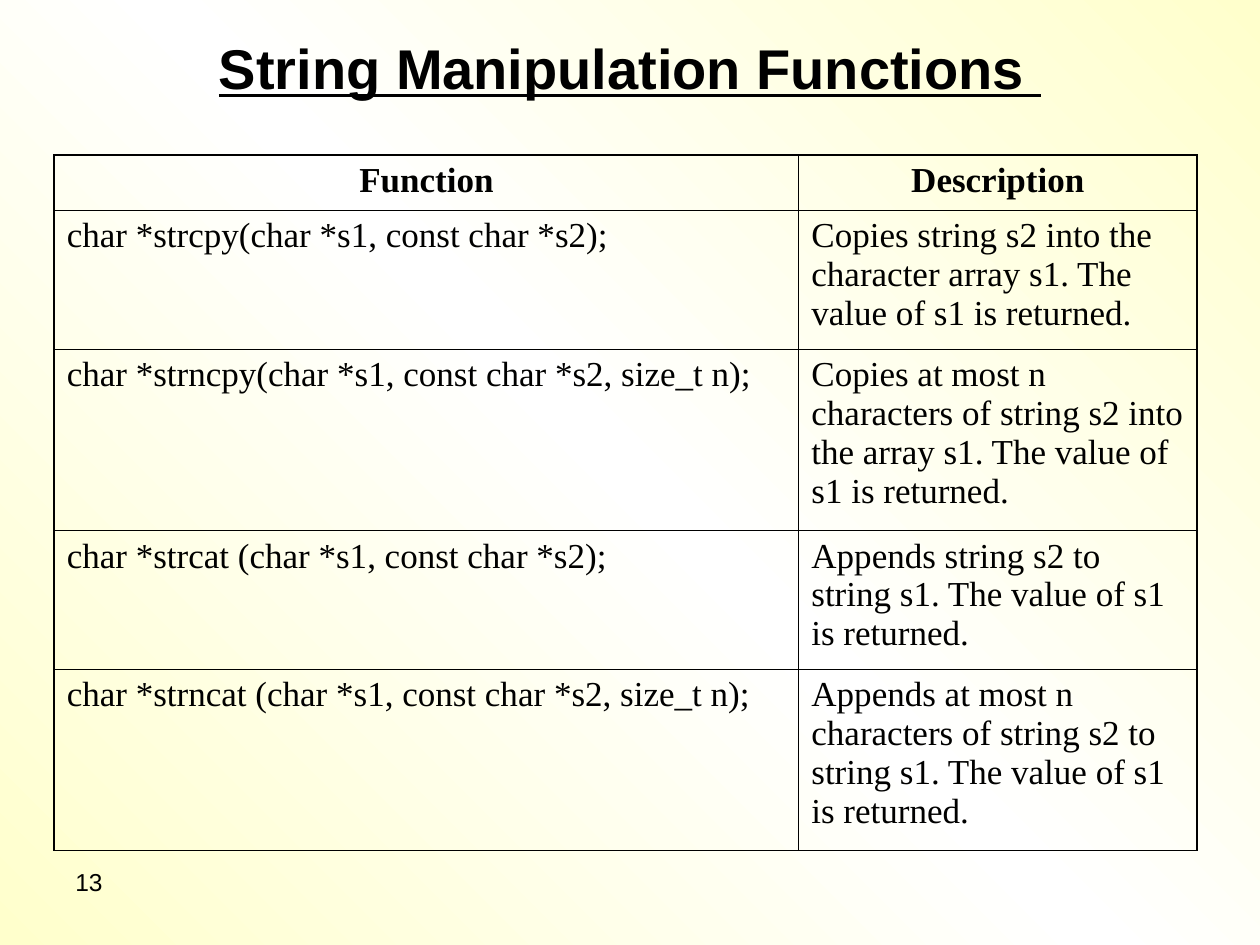
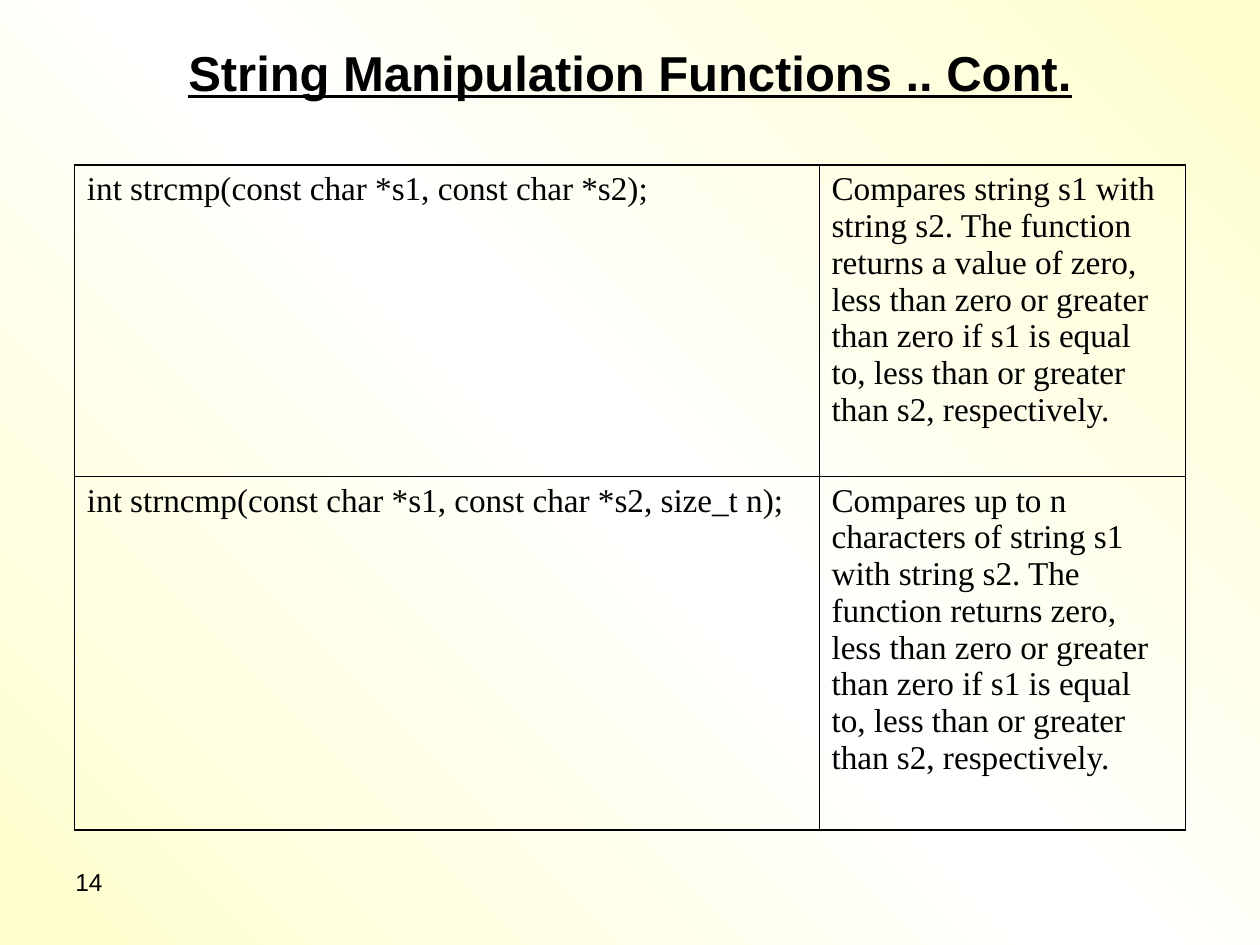
from copy import deepcopy
from dataclasses import dataclass

from lxml.etree import SubElement as sub
from pptx import Presentation
from pptx.dml.color import RGBColor as Rgb
from pptx.enum.text import MSO_ANCHOR as Anchor, MSO_AUTO_SIZE as Auto, PP_ALIGN as Align
from pptx.oxml.ns import qn
from pptx.util import Inches, Pt


@dataclass(frozen=True)
class Theme:
    ink: str = "000000"
    cream: str = "FFFFCC"
    white: str = "FFFFFF"
    sans: str = "Arial"
    serif: str = "Times New Roman"
    note: int = 14
    thick: float = 1.08
    thin: float = 0.45


look = Theme()
COLS, ROWS = 100, 75
FIRST = 13

PAGES = [
    {
        "title": "String Manipulation Functions ", "size": 32, "tall": 4.6,
        "left": 4.3, "top": 12.3, "cols": [59.1, 31.6],
        "rows": [4.4, 11, 14.4, 11, 14.4], "text": 20, "head": True,
        "cells": [
            ("Function", "Description"),
            ("char *strcpy(char *s1, const char *s2);",
             "Copies string s2 into the character array s1. The value of s1 is returned."),
            ("char *strncpy(char *s1, const char *s2, size_t n);",
             "Copies at most n characters of string s2 into the array s1. "
             "The value of s1 is returned."),
            ("char *strcat (char *s1, const char *s2);",
             "Appends string s2 to string s1. The value of s1 is returned."),
            ("char *strncat (char *s1, const char *s2, size_t n);",
             "Appends at most n characters of string s2 to string s1. "
             "The value of s1 is returned."),
        ],
    },
    {
        "title": "String Manipulation Functions .. Cont.", "size": 28, "tall": 5.4,
        "left": 5.9, "top": 13.1, "cols": [59.1, 29.1],
        "rows": [24.7, 28.1], "text": 19, "head": False,
        "cells": [
            ("int strcmp(const char *s1, const char *s2);",
             "Compares string s1 with string s2. The function returns a value of zero, "
             "less than zero or greater than zero if s1 is equal to, "
             "less than or greater than s2, respectively."),
            ("int strncmp(const char *s1, const char *s2, size_t n);",
             "Compares up to n characters of string s1 with string s2. "
             "The function returns zero, less than zero or greater than zero "
             "if s1 is equal to, less than or greater than s2, respectively."),
        ],
    },
]


def grid(*units):
    return [Inches(n * 10 / COLS) for n in units]


def apply(item, **form):
    for name, value in form.items():
        setattr(item, name, value)


def write(frame, text, align=Align.LEFT, **form):
    para = frame.paragraphs[0]
    para.alignment = align
    run = para.add_run()
    run.text = text
    apply(run.font, **form)
    run.font.color.rgb = Rgb.from_string(look.ink)


def paint(master):
    fill = master.background.fill
    fill.gradient()
    fill.gradient_angle = 45
    stops = master.element.find(".//" + qn("a:gsLst"))
    stops.append(deepcopy(stops[0]))
    tones = (look.cream, look.white, look.cream)
    for stop, place, tone in zip(fill.gradient_stops, (0, 0.5, 1), tones):
        stop.position = place
        stop.color.rgb = Rgb.from_string(tone)


def add_title(slide, page):
    shape = slide.shapes.title
    spot = grid(5, 3, 90, page["tall"])
    apply(shape, **dict(zip(("left", "top", "width", "height"), spot)))
    frame = shape.text_frame
    apply(frame, auto_size=Auto.NONE, word_wrap=True, vertical_anchor=Anchor.MIDDLE,
          margin_left=0, margin_right=0, margin_top=0, margin_bottom=0)
    write(frame, page["title"], Align.CENTER, name=look.sans,
          size=Pt(page["size"]), bold=True, underline=True)


def add_number(slide, number):
    frame = slide.shapes.add_textbox(*grid(5, 68.3, 23.3, 5.2)).text_frame
    frame.word_wrap = True
    write(frame, str(number), name=look.sans, size=Pt(look.note))


def rule(cell, side, width):
    line = sub(cell._tc.get_or_add_tcPr(), qn("a:ln" + side), w=str(Pt(width)))
    sub(sub(line, qn("a:solidFill")), qn("a:srgbClr"), val=look.ink)


def frame_cell(cell, row, col, last_row, last_col):
    edges = {"L": col == 0, "R": col == last_col, "T": row == 0, "B": row == last_row}
    for side, outer in edges.items():
        rule(cell, side, look.thick if outer else look.thin)
    cell.fill.background()


def add_grid(slide, page):
    cols, rows, cells = page["cols"], page["rows"], page["cells"]
    spot = grid(page["left"], page["top"], sum(cols), sum(rows))
    table = slide.shapes.add_table(len(rows), len(cols), *spot).table
    apply(table, first_row=page["head"], horz_banding=False)
    for col, width in zip(table.columns, grid(*cols)):
        col.width = width
    for row, height in zip(table.rows, grid(*rows)):
        row.height = height
    for i, texts in enumerate(cells):
        head = page["head"] and i == 0
        for j, text in enumerate(texts):
            cell = table.cell(i, j)
            frame_cell(cell, i, j, len(rows) - 1, len(cols) - 1)
            write(cell.text_frame, text, Align.CENTER if head else Align.LEFT,
                  name=look.serif, size=Pt(page["text"]), bold=head)


def main():
    deck = Presentation()
    deck.slide_width, deck.slide_height = grid(COLS, ROWS)
    paint(deck.slide_master)
    for number, page in enumerate(PAGES, FIRST):
        slide = deck.slides.add_slide(deck.slide_layouts.get_by_name("Title Only"))
        add_number(slide, number)
        add_title(slide, page)
        add_grid(slide, page)
    deck.save("out.pptx")


if __name__ == "__main__":
    main()
